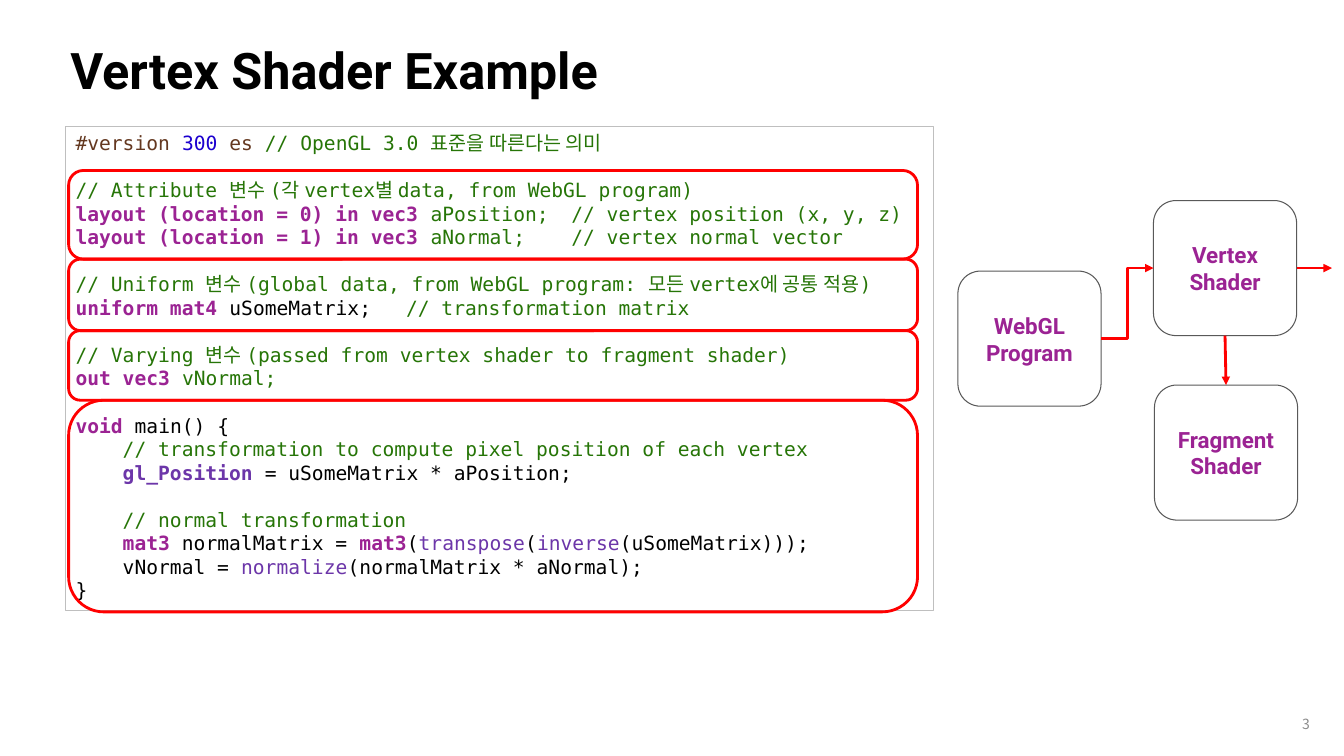
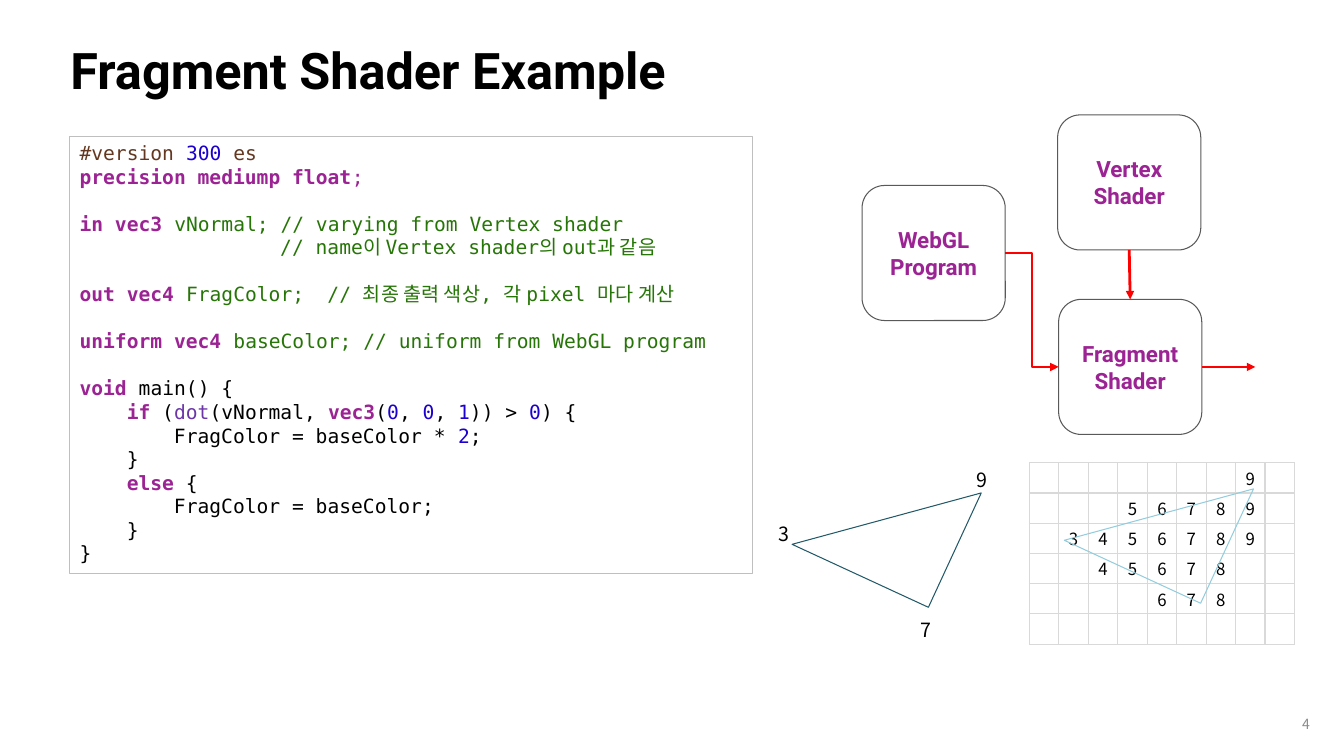
from dataclasses import dataclass
from itertools import pairwise

from lxml.etree import SubElement
from pptx import Presentation
from pptx.dml.color import RGBColor
from pptx.enum.shapes import MSO_CONNECTOR as Link, MSO_SHAPE as Preset
from pptx.enum.text import MSO_ANCHOR as Anchor, PP_ALIGN as Align
from pptx.oxml.ns import qn
from pptx.util import Inches, Pt

BLACK = RGBColor(0x00, 0x00, 0x00)
BROWN = RGBColor(0x64, 0x38, 0x20)
BLUE = RGBColor(0x1C, 0x00, 0xCF)
GREEN = RGBColor(0x26, 0x75, 0x07)
MAGENTA = RGBColor(0x9B, 0x23, 0x93)
VIOLET = RGBColor(0x6C, 0x36, 0xA9)
RED = RGBColor(0xFF, 0x00, 0x00)
DARK_GRAY = RGBColor(0x59, 0x59, 0x59)
MID_GRAY = RGBColor(0x8C, 0x8C, 0x8C)
PANEL_GRAY = RGBColor(0xBF, 0xBF, 0xBF)
GRID_GRAY = RGBColor(0xD9, 0xD9, 0xD9)
TEAL = RGBColor(0x21, 0x59, 0x68)
LIGHT_TEAL = RGBColor(0x93, 0xCD, 0xDD)

HEADING_FONT, BODY_FONT, CODE_FONT = "Roboto", "Noto Sans CJK KR", "DejaVu Sans Mono"
CODE_SIZE, ROW_PITCH, CHAR_WIDTH = 14, 16.8, 8.43

PLAIN = (BLACK, False)
KEYWORD = (MAGENTA, True)
KEYWORD_END = (MAGENTA, False)
COMMENT = (GREEN, False)
DIRECTIVE = (BROWN, False)
NUMBER = (BLUE, False)
FUNCTION = (VIOLET, False)
BUILTIN = (VIOLET, True)


@dataclass
class Box:
    left: float
    top: float
    width: float
    height: float

    def area(self, x, y, width, height):
        return Box(self.left + self.width * x / 100, self.top + self.height * y / 100,
                   self.width * width / 100, self.height * height / 100)

    def emu(self):
        return [Inches(v) for v in (self.left, self.top, self.width, self.height)]


@dataclass
class Line:
    runs: tuple
    indent: float
    comment_column: int


def line(*runs, indent=0, comment_column=0):
    return Line(runs, indent, comment_column)


PAGE = Box(0, 0, 13.33, 7.5)

VERSION = ((DIRECTIVE, "#version "), (NUMBER, "300"))
MAIN = line((KEYWORD, "void"), (PLAIN, " main() {"))
END = line((PLAIN, "}"))
END_BRANCH = line((PLAIN, "}"), indent=4)

VERTEX_CODE = (
    (line(*VERSION, (DIRECTIVE, " es "), (COMMENT, "// OpenGL 3.0 표준을 따른다는 의미")),),
    (line((COMMENT, "// Attribute 변수 (각 vertex별 data, from WebGL program)")),
     line((KEYWORD, "layout (location = 0) in vec3"), (COMMENT, " aPosition;"),
          (COMMENT, "// vertex position (x, y, z)"), comment_column=42),
     line((KEYWORD, "layout (location = 1) in vec3"), (COMMENT, " aNormal;"),
          (COMMENT, "// vertex normal vector"), comment_column=42)),
    (line((COMMENT, "// Uniform 변수 (global data, from WebGL program: 모든 vertex에 공통 적용)")),
     line((KEYWORD, "uniform mat4 "), (PLAIN, "uSomeMatrix;"),
          (COMMENT, "// transformation matrix"), comment_column=28)),
    (line((COMMENT, "// Varying 변수 (passed from vertex shader to fragment shader)")),
     line((KEYWORD, "out vec3 "), (COMMENT, "vNormal;"))),
    (MAIN,
     line((COMMENT, "// transformation to compute pixel position of each vertex"), indent=4),
     line((BUILTIN, "gl_Position "), (PLAIN, "= uSomeMatrix * aPosition;"), indent=4)),
    (line((COMMENT, "// normal transformation"), indent=4),
     line((KEYWORD, "mat3 "), (PLAIN, "normalMatrix = "), (KEYWORD, "mat3"), (PLAIN, "("),
          (FUNCTION, "transpose"), (PLAIN, "("), (FUNCTION, "inverse"),
          (PLAIN, "(uSomeMatrix)));"), indent=4),
     line((PLAIN, "vNormal = "), (FUNCTION, "normalize"),
          (PLAIN, "(normalMatrix * aNormal);"), indent=4),
     END),
)

FRAGMENT_CODE = (
    (line(*VERSION, (DIRECTIVE, " es")),
     line((KEYWORD, "precision mediump float"), (KEYWORD_END, ";"))),
    (line((KEYWORD, "in vec3 "), (COMMENT, "vNormal; // varying from Vertex shader")),
     line((COMMENT, "// name이 Vertex shader의 out과 같음"), indent=17)),
    (line((KEYWORD, "out vec4"), (COMMENT, " FragColor;"),
          (COMMENT, "// 최종 출력 색상, 각 pixel 마다 계산"), comment_column=21),),
    (line((KEYWORD, "uniform vec4 "), (COMMENT, "baseColor; // uniform from WebGL program")),),
    (MAIN,
     line((KEYWORD, "if"), (PLAIN, " ("), (FUNCTION, "dot"), (PLAIN, "(vNormal, "),
          (KEYWORD, "vec3"), (PLAIN, "("), (NUMBER, "0"), (PLAIN, ", "), (NUMBER, "0"),
          (PLAIN, ", "), (NUMBER, "1"), (PLAIN, ")) > "), (NUMBER, "0"), (PLAIN, ") {"),
          indent=4),
     line((PLAIN, "FragColor = baseColor * "), (NUMBER, "2"), (PLAIN, ";"), indent=8),
     END_BRANCH,
     line((KEYWORD, "else"), (PLAIN, " {"), indent=4),
     line((PLAIN, "FragColor = baseColor;"), indent=8),
     END_BRANCH,
     END),
)

FRAME_ROWS = (1.89, 5.66, 8.7, 11.66, 20.66)
PIXEL_ROWS = ((7, "9"), (3, "56789"), (1, "3456789"), (2, "45678"), (4, "678"), (0, ""))
PIXEL_COLUMNS = 9


def style_run(run, font, size, color, bold=False):
    run.font.name, run.font.size, run.font.bold = font, Pt(size), bold
    run.font.color.rgb = color
    SubElement(run.font._element, qn("a:ea"), typeface=BODY_FONT)


def add_label(slide, box, text, font, size, color, bold=False, align=Align.LEFT,
              anchor=Anchor.MIDDLE, wrap=True):
    label = slide.shapes.add_textbox(*box.emu())
    frame = label.text_frame
    frame.word_wrap, frame.vertical_anchor = wrap, anchor
    frame.text = text
    frame.paragraphs[0].alignment = align
    style_run(frame.paragraphs[0].runs[0], font, size, color, bold)


def add_outline(slide, preset, box, color, weight):
    outline = slide.shapes.add_shape(preset, *box.emu())
    outline.shadow.inherit = False
    outline.fill.background()
    outline.line.color.rgb = color
    outline.line.width = Pt(weight)
    return outline


def add_arrow(slide, kind, source, source_side, target=None, target_side=1, reach=0):
    x, y = source.left + source.width, source.top + source.height // 2
    arrow = slide.shapes.add_connector(kind, x, y, x + Inches(reach), y)
    arrow.begin_connect(source, source_side)
    if target is not None:
        arrow.end_connect(target, target_side)
    arrow.line.color.rgb = RED
    arrow.line.width = Pt(2)
    SubElement(arrow.line._get_or_add_ln(), qn("a:tailEnd"), type="triangle")
    SubElement(arrow._element.spPr, qn("a:effectLst"))


def add_page(deck, title, number):
    slide = deck.slides.add_slide(deck.slide_layouts[6])
    add_label(slide, PAGE.area(4.5, 3.87, 90.62, 10.53), title, HEADING_FONT, 36, BLACK, True)
    add_label(slide, PAGE.area(95.12, 93.07, 3.08, 5.33), str(number), BODY_FONT, 10,
              MID_GRAY, align=Align.RIGHT)
    return slide


def add_code(slide, box, blocks):
    panel = add_outline(slide, Preset.RECTANGLE, box, PANEL_GRAY, 0.75)
    frame = panel.text_frame
    frame.word_wrap, frame.vertical_anchor = True, Anchor.TOP
    for block_index, block in enumerate(blocks):
        for line_index, code_line in enumerate(block):
            first = block_index == line_index == 0
            paragraph = frame.paragraphs[0] if first else frame.add_paragraph()
            paragraph.alignment = Align.LEFT
            paragraph.line_spacing = Pt(ROW_PITCH)
            paragraph.space_before = Pt(ROW_PITCH if block_index and not line_index else 0)
            properties = paragraph._p.get_or_add_pPr()
            properties.set("marL", str(Pt(code_line.indent * CHAR_WIDTH)))
            for (color, bold), text in code_line.runs:
                run = paragraph.add_run()
                run.text = text
                style_run(run, CODE_FONT, CODE_SIZE, color, bold)
            if code_line.comment_column:
                run.text = "\t" + run.text
                stops = SubElement(properties, qn("a:tabLst"))
                SubElement(stops, qn("a:tab"), algn="l",
                           pos=str(Pt(code_line.comment_column * CHAR_WIDTH)))


def add_section_frames(slide, box):
    row = ROW_PITCH / 72
    for start, end in pairwise(FRAME_ROWS):
        section = Box(box.left + 0.03, box.top + start * row, 8.42, (end - start) * row)
        add_outline(slide, Preset.ROUNDED_RECTANGLE, section, RED, 2)


def add_stage(slide, box, words):
    stage = add_outline(slide, Preset.ROUNDED_RECTANGLE, box, DARK_GRAY, 0.75)
    frame = stage.text_frame
    frame.word_wrap, frame.vertical_anchor = True, Anchor.MIDDLE
    frame.text = "\n".join(words)
    for paragraph in frame.paragraphs:
        paragraph.alignment = Align.CENTER
        style_run(paragraph.runs[0], HEADING_FONT, 16, MAGENTA, True)
    return stage


def add_pipeline(slide, box, active, reach):
    places = {"WebGL": (0, 22.08, "Program"), "Vertex": (57.57, 0, "Shader"),
              "Fragment": (57.86, 57.73, "Shader")}
    stages = {name: add_stage(slide, box.area(x, y, 42.14, 42.27), (name, role))
              for name, (x, y, role) in places.items()}
    add_arrow(slide, Link.ELBOW, stages["WebGL"], 3, stages[active], 1)
    add_arrow(slide, Link.STRAIGHT, stages["Vertex"], 2, stages["Fragment"], 0)
    add_arrow(slide, Link.STRAIGHT, stages[active], 3, reach=box.width * reach / 100)


def add_triangle(slide, box, color):
    triangle = add_outline(slide, Preset.ISOSCELES_TRIANGLE, box, color, 0.75)
    triangle.adjustments[0] = 1
    triangle.rotation = 24.8


def add_vertex_sketch(slide, box):
    add_triangle(slide, box.area(18.86, 0, 65.35, 65.79), TEAL)
    for value, x, y in (("3", 0, 32.11), ("9", 86.4, 3.68), ("7", 61.84, 82.11)):
        add_label(slide, box.area(x, y, 13.6, 17.89), value, BODY_FONT, 14, BLACK,
                  anchor=Anchor.TOP, wrap=False)


def style_pixel(cell):
    cell.margin_left = cell.margin_right = cell.margin_top = cell.margin_bottom = 0
    cell.vertical_anchor = Anchor.MIDDLE
    properties = cell._tc.get_or_add_tcPr()
    for side in ("lnL", "lnR", "lnT", "lnB"):
        border = SubElement(properties, qn(f"a:{side}"), w=str(Pt(1)))
        fill = SubElement(border, qn("a:solidFill"))
        SubElement(fill, qn("a:srgbClr"), val=str(GRID_GRAY))
    cell.fill.background()
    paragraph = cell.text_frame.paragraphs[0]
    paragraph.alignment = Align.CENTER
    for run in paragraph.runs:
        style_run(run, BODY_FONT, 12, BLACK)
    paragraph._p.get_or_add_endParaRPr().set("sz", "1200")


def add_pixel_grid(slide, box):
    grid = slide.shapes.add_table(len(PIXEL_ROWS), PIXEL_COLUMNS, *box.emu()).table
    grid.first_row = grid.horz_banding = False
    for row, (start, values) in enumerate(PIXEL_ROWS):
        for offset, value in enumerate(values):
            grid.cell(row, start + offset).text = value
    for cell in grid.iter_cells():
        style_pixel(cell)
    add_triangle(slide, box.area(20.53, -6.11, 56.65, 69.44), LIGHT_TEAL)


def build_vertex_slide(deck):
    slide = add_page(deck, "Vertex Shader Example", 3)
    code_box = PAGE.area(4.88, 16.67, 64.59, 64.13)
    add_code(slide, code_box, VERTEX_CODE)
    add_section_frames(slide, code_box)
    add_pipeline(slide, PAGE.area(71.27, 26.53, 25.28, 42.27), "Vertex", 10.39)


def build_fragment_slide(deck):
    slide = add_page(deck, "Fragment Shader Example", 4)
    add_code(slide, PAGE.area(5.18, 18, 50.79, 57.87), FRAGMENT_CODE)
    add_pixel_grid(slide, PAGE.area(76.59, 61.2, 19.73, 24))
    add_vertex_sketch(slide, PAGE.area(57.16, 60.27, 17.1, 25.33))
    add_pipeline(slide, PAGE.area(64.14, 15.2, 25.28, 42.27), "Fragment", 15.73)


def main():
    deck = Presentation()
    deck.slide_width, deck.slide_height = Inches(PAGE.width), Inches(PAGE.height)
    build_vertex_slide(deck)
    build_fragment_slide(deck)
    deck.save("out.pptx")


if __name__ == "__main__":
    main()
